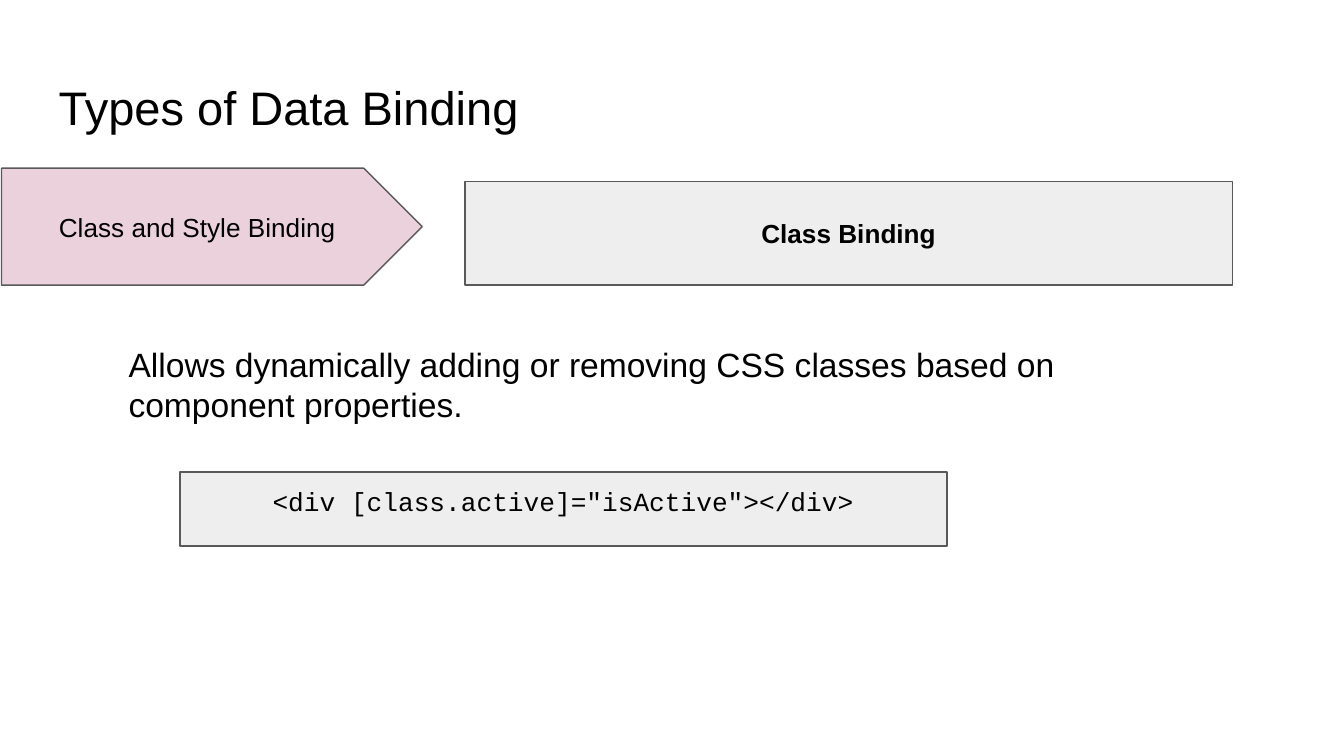
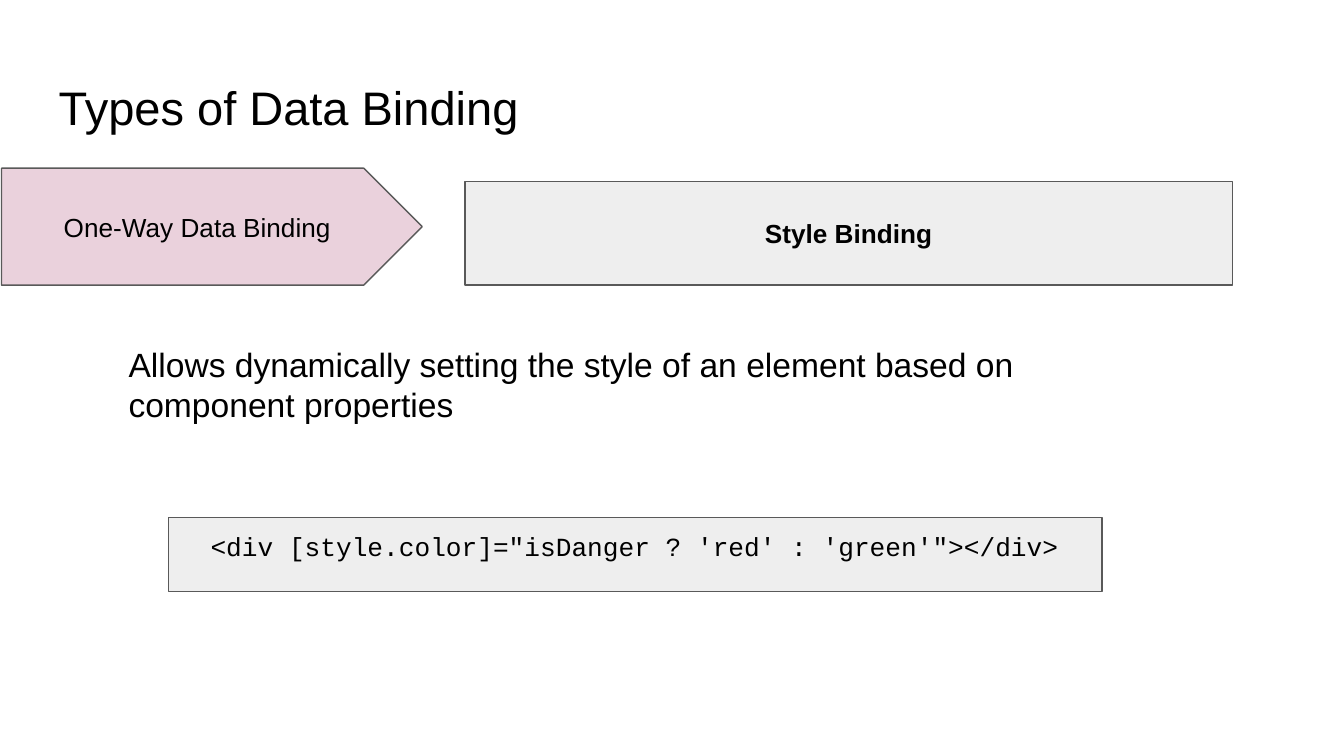
from pptx import Presentation
from pptx import util as u
from pptx.dml.color import RGBColor
from pptx.enum import shapes, text

PINK, GREY, OUTLINE, INK = "EAD1DC", "EEEEEE", "595959", "000000"
SANS, MONO = "Arial", "Courier New"
TOP, MIDDLE = text.MSO_ANCHOR.TOP, text.MSO_ANCHOR.MIDDLE
PENTAGON, RECTANGLE = shapes.MSO_SHAPE.PENTAGON, shapes.MSO_SHAPE.RECTANGLE


def color(hex_value):
    return RGBColor.from_string(hex_value)


def add_part(slide, words, place, size, preset=None, fill=None,
             anchor=TOP, font=SANS, bold=False):
    """Add a text box, or a filled and outlined shape if a preset is given."""
    box = [u.Cm(length) for length in place]
    if preset is None:
        part = slide.shapes.add_textbox(*box)
    else:
        part = slide.shapes.add_shape(preset, *box)
        part.shadow.inherit = False
        part.fill.solid()
        part.fill.fore_color.rgb = color(fill)
        part.line.color.rgb = color(OUTLINE)
        part.line.width = u.Pt(0.75)

    frame = part.text_frame
    inset = u.Cm(0.25)
    frame_format = {"word_wrap": True, "vertical_anchor": anchor,
                    "margin_left": inset, "margin_right": inset,
                    "margin_top": inset, "margin_bottom": inset}
    for name, value in frame_format.items():
        setattr(frame, name, value)

    paragraph = frame.paragraphs[0]
    paragraph.alignment = text.PP_ALIGN.CENTER if preset else text.PP_ALIGN.LEFT
    run = paragraph.add_run()
    run.text = words
    for name, value in {"name": font, "size": u.Pt(size), "bold": bold}.items():
        setattr(run.font, name, value)
    run.font.color.rgb = color(INK)
    return part


# Content of each slide; code_place is left, top, width, height
bindings = [
    {"category": "Class and Style Binding",
     "binding": "Class Binding",
     "description": "Allows dynamically adding or removing CSS classes "
                    "based on component properties.",
     "code": '<div [class.active]="isActive"></div>',
     "code_place": (3.4, 8.92, 14.5, 1.4)},
    {"category": "One-Way Data Binding",
     "binding": "Style Binding",
     "description": "Allows dynamically setting the style of an element "
                    "based on component properties",
     "code": "<div [style.color]=\"isDanger ? 'red' : 'green'\"></div>",
     "code_place": (3.18, 9.78, 17.65, 1.4)},
]

deck = Presentation()
deck.slide_width, deck.slide_height = u.Cm(25.4), u.Cm(14.29)

for topic in bindings:
    slide = deck.slides.add_slide(deck.slide_layouts[6])

    # Title
    add_part(slide, "Types of Data Binding", (0.86, 1.24, 23.67, 1.6), 25.2)

    # Category arrow and binding name
    add_part(slide, topic["category"], (0.03, 3.18, 7.95, 2.21), 14,
             PENTAGON, PINK, MIDDLE)
    add_part(slide, topic["binding"], (8.79, 3.43, 14.5, 1.96), 14,
             RECTANGLE, GREY, MIDDLE, bold=True)

    # Description
    description = add_part(slide, topic["description"],
                           (2.18, 6.25, 19.3, 2.06), 18)
    description.text_frame.auto_size = text.MSO_AUTO_SIZE.SHAPE_TO_FIT_TEXT

    # Code example
    add_part(slide, topic["code"], topic["code_place"], 14,
             RECTANGLE, GREY, font=MONO)

deck.save("out.pptx")
